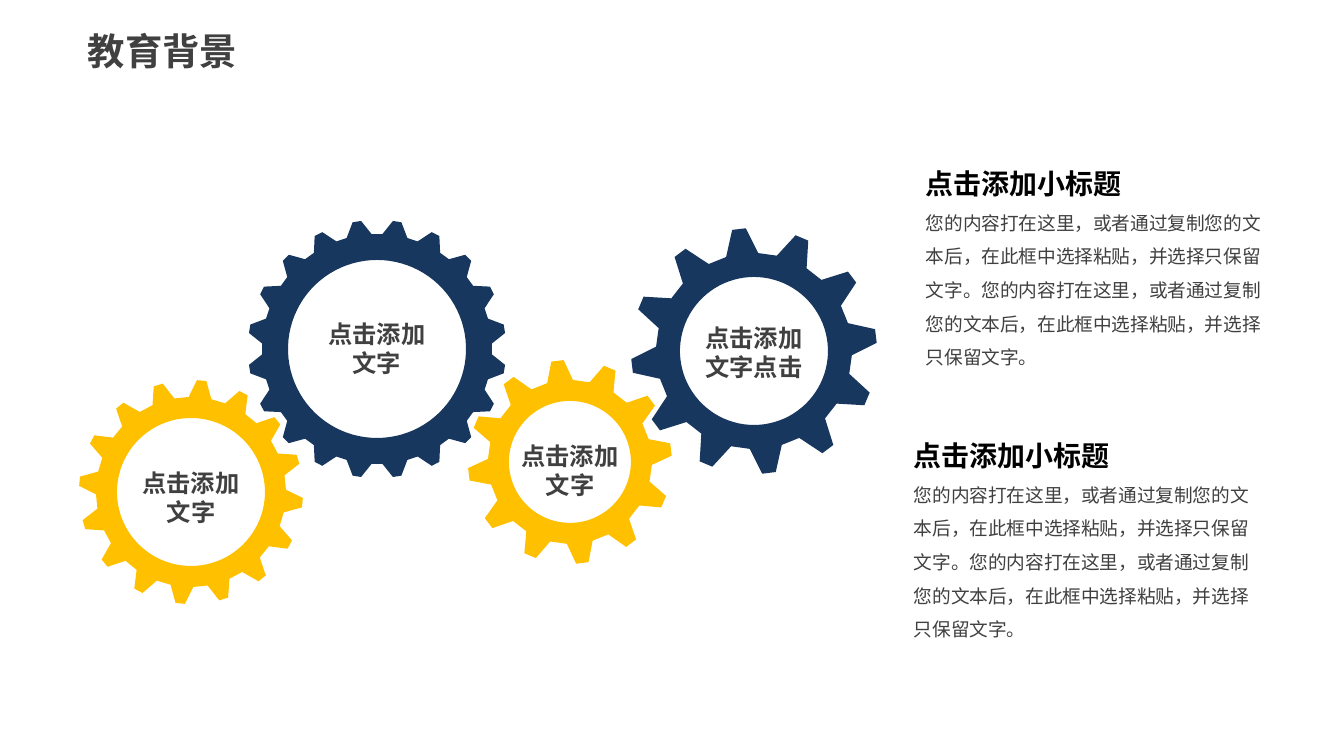
from math import cos, radians, sin

from lxml.etree import SubElement
from pptx import Presentation
from pptx.dml.color import RGBColor
from pptx.enum.text import MSO_ANCHOR as Anchor, MSO_AUTO_SIZE as Fit, PP_ALIGN as Align
from pptx.oxml.ns import qn
from pptx.util import Pt

PX = 914400 / 134.4
FONT = "Noto Sans CJK SC"
NAVY = RGBColor(0x17, 0x37, 0x5E)
GOLD = RGBColor(0xFF, 0xC0, 0x00)
GREY = RGBColor(0x40, 0x40, 0x40)
BLACK = RGBColor(0, 0, 0)
HEAD = "点击添加小标题"
BODY = "您的内容打在这里，或者通过复制您的文本后，在此框中选择粘贴，并选择只保留文字。" * 2


def emu(px):
    return round(px * PX)


def add_box(slide, box, pad=(9, 5), anchor=Anchor.MIDDLE, wrap=True):
    frame = slide.shapes.add_textbox(*map(emu, box)).text_frame
    frame.auto_size = Fit.NONE
    frame.word_wrap = wrap
    frame.vertical_anchor = anchor
    frame.margin_left = frame.margin_right = emu(pad[0])
    frame.margin_top = frame.margin_bottom = emu(pad[1])
    return frame


def write(frame, text, size=13, color=GREY, bold=True, align=Align.CENTER, lead=None):
    para = frame.paragraphs[0]
    if para.runs:
        para = frame.add_paragraph()
    para.alignment = align
    para.line_spacing = lead
    run = para.add_run()
    run.text = text
    font = run.font
    font.size, font.bold, font.name = Pt(size), bold, FONT
    font.color.rgb = color
    SubElement(font._element, qn("a:ea")).set("typeface", FONT)


def add_title(slide, box):
    frame = add_box(slide, box, pad=(0, 0), wrap=False)
    write(frame, "教育背景", size=20)


def add_gear(slide, mid, radii, teeth, turn, halves, color, lines, width, drop):
    x, y = mid
    tip, root, hole = radii
    top, foot = halves

    def spot(radius, angle):
        turned = radians(angle)
        return emu(x + radius * sin(turned)), emu(y - radius * cos(turned))

    tooth = ((root, -foot), (tip, -top), (tip, top), (root, foot))
    rim = [spot(r, turn + 360 * i / teeth + a) for i in range(teeth) for r, a in tooth]
    ring = [spot(hole, -a) for a in range(0, 360, 4)]
    path = slide.shapes.build_freeform(*rim[0], scale=1)
    path.add_line_segments(rim[1:], close=True)
    path.move_to(*ring[0])
    path.add_line_segments(ring[1:], close=True)
    gear = path.convert_to_shape()
    gear.shadow.inherit = False
    gear.fill.solid()
    gear.fill.fore_color.rgb = color
    gear.line.fill.background()

    frame = add_box(slide, (x - width / 2, y - 34 + drop, width, 69))
    for line in lines:
        write(frame, line)


def add_note(slide, box):
    frame = add_box(slide, box, anchor=Anchor.TOP)
    write(frame, HEAD, size=15, color=BLACK, align=Align.LEFT, lead=1.5)
    write(frame, BODY, size=10, bold=False, align=Align.LEFT, lead=1.5)


def main():
    deck = Presentation()
    deck.slide_width, deck.slide_height = emu(1344), emu(756)
    slide = deck.slides.add_slide(deck.slide_layouts[6])
    add_title(slide, (-27, 19, 379, 63))
    short, long = ("点击添加", "文字"), ("点击添加", "文字点击")
    gears = (
        ((377, 349), (129, 115, 89), 20, 9, (1.9, 6.3), NAVY, short, 176, -1),
        ((570, 462), (102, 82, 61), 12, -7, (3.5, 9.1), GOLD, short, 124, 8),
        ((191, 492), (112, 95, 74), 16, 5.5, (2.4, 6.9), GOLD, short, 124, 5),
        ((754, 351), (123, 98, 74), 12, -7, (3.2, 9.5), NAVY, long, 176, 1),
    )
    for gear in gears:
        add_gear(slide, *gear)
    for left, top in ((917, 145), (905, 417)):
        add_note(slide, (left, top, 360, 231))
    deck.save("out.pptx")


if __name__ == "__main__":
    main()
